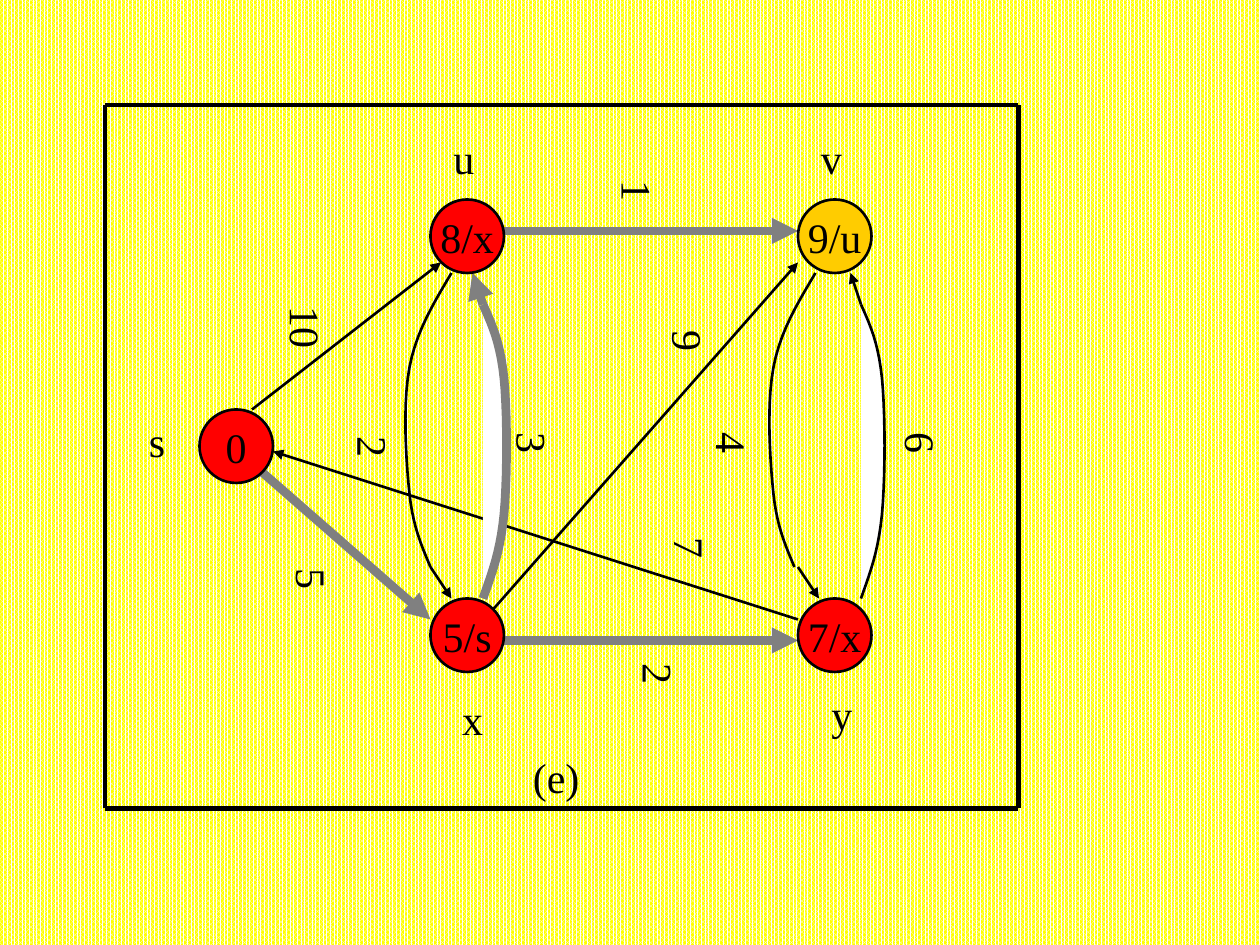
"""Build a slide showing one step of Dijkstra's algorithm on a weighted graph."""
from itertools import pairwise
from typing import NamedTuple

from lxml import etree
from pptx import Presentation
from pptx import util as u
from pptx.dml.color import RGBColor
from pptx.enum import dml, shapes, text
from pptx.oxml import ns

COLOURS = {
    "black": "000000", "grey": "808080", "white": "FFFFFF",
    "yellow": "FFFF00", "red": "FF0000", "orange": "FFCC00",
}
FONT = "Times New Roman"
NODE_SIZE = 42
THIN, THICK, FRAME = 1.5, 5, 2.5
CURVE_STEPS = 10

Point = tuple[float, float]


class Node(NamedTuple):
    caption: str
    left: float
    top: float
    fill: str = "red"


class Edge(NamedTuple):
    start: Point
    end: Point
    chosen: bool = False


class Curve(NamedTuple):
    points: list[Point]
    shift: float = 0
    chosen: bool = False
    filled: bool = False


class Label(NamedTuple):
    caption: str
    left: float
    top: float
    width: float = 28.8
    height: float = 28.8


NODES = [
    Node("0", 114, 234),
    Node("7/x", 456, 342),
    Node("9/u", 456, 114, "orange"),
    Node("5/s", 246, 342),
    Node("8/x", 246, 114),
]
EDGES = [
    Edge((246, 324), (258, 342)),
    Edge((276, 174), (270, 156), True),
    Edge((456, 324), (468, 342)),
    Edge((492, 174), (486, 156)),
    Edge((150, 270), (246, 354), True),
    Edge((456, 354), (156, 258)),
    Edge((144, 234), (252, 150)),
    Edge((288, 132), (456, 132), True),
    Edge((288, 366), (456, 366), True),
    Edge((282, 348), (456, 150)),
]
DOWNWARD = [
    (258, 156), (248, 173), (238, 189), (234, 210), (230, 231),
    (232, 263), (234, 282), (236, 301), (241, 312), (246, 324),
]
UPWARD = [
    (276, 342), (281, 328), (286, 315), (288, 294), (290, 273),
    (290, 236), (288, 216), (286, 196), (281, 185), (276, 174),
]
CURVES = [
    Curve(DOWNWARD),
    Curve(UPWARD, chosen=True, filled=True),
    Curve(DOWNWARD, shift=208),
    Curve(UPWARD, shift=216, filled=True),
]
WEIGHTS = [
    Label("10", 150, 168, width=43.2),
    Label("5", 168, 318),
    Label("2", 203, 242.6),
    Label("1", 354, 96),
    Label("3", 294, 240),
    Label("4", 408, 240),
    Label("2", 366, 372),
    Label("6", 516, 240),
    Label("9", 383, 182),
    Label("7", 384, 300),
]
NAMES = [
    Label("s", 78, 234, 24, 36),
    Label("u", 252, 72, 26.4, 36),
    Label("v", 462, 72, 26.4, 36),
    Label("x", 257, 393, 26.4, 36),
    Label("y", 468, 390, 26.4, 36),
    Label("(e)", 297.4, 426, 46.8, 36),
]
CORNERS = [(60, 60), (582, 60), (582, 462), (60, 462), (60, 60)]


def colour(name: str) -> RGBColor:
    return RGBColor.from_string(COLOURS[name])


def write_text(shape, caption: str, *, centred: bool = False, middle: bool = False,
               vertical: bool = False, grow: bool = True) -> None:
    frame = shape.text_frame
    frame.word_wrap = False
    frame.auto_size = text.MSO_AUTO_SIZE.SHAPE_TO_FIT_TEXT if grow else text.MSO_AUTO_SIZE.NONE
    frame.vertical_anchor = text.MSO_ANCHOR.MIDDLE if middle else text.MSO_ANCHOR.TOP
    if vertical:
        frame._txBody.bodyPr.set("vert", "eaVert")
    paragraph = frame.paragraphs[0]
    paragraph.alignment = text.PP_ALIGN.CENTER if centred else text.PP_ALIGN.LEFT
    run = paragraph.add_run()
    run.text = caption
    run.font.name = FONT
    run.font.size = u.Pt(24)
    run.font.color.rgb = colour("black")


def set_line(shape, name: str, width: float) -> None:
    shape.line.color.rgb = colour(name)
    shape.line.width = u.Pt(width)


def draw_line(slide, start: Point, end: Point, name: str, width: float,
              arrow: bool = False) -> None:
    connector = slide.shapes.add_connector(
        shapes.MSO_CONNECTOR.STRAIGHT, *(u.Pt(value) for value in (*start, *end)))
    set_line(connector, name, width)
    if arrow:
        etree.SubElement(connector.line._get_or_add_ln(), ns.qn("a:tailEnd"), type="triangle")
    etree.SubElement(connector._element.spPr, ns.qn("a:effectLst"))


def bezier(controls: list[Point], t: float) -> Point:
    weights = ((1 - t) ** 3, 3 * t * (1 - t) ** 2, 3 * t * t * (1 - t), t ** 3)
    x, y = (sum(w * value for w, value in zip(weights, axis)) for axis in zip(*controls))
    return x, y


def draw_curve(slide, curve: Curve) -> None:
    points = [(x + curve.shift, y) for x, y in curve.points]
    samples = [bezier(points[first:first + 4], step / CURVE_STEPS)
               for first in range(0, len(points) - 1, 3)
               for step in range(1, CURVE_STEPS + 1)]
    builder = slide.shapes.build_freeform(*(u.Pt(value) for value in points[0]))
    builder.add_line_segments([(u.Pt(x), u.Pt(y)) for x, y in samples], close=False)
    shape = builder.convert_to_shape()
    shape.shadow.inherit = False
    if curve.filled:
        shape.fill.solid()
        shape.fill.fore_color.rgb = colour("white")
    else:
        shape.fill.background()
    set_line(shape, "grey" if curve.chosen else "black", THICK if curve.chosen else THIN)


def draw_node(slide, node: Node) -> None:
    shape = slide.shapes.add_shape(
        shapes.MSO_SHAPE.OVAL, u.Pt(node.left), u.Pt(node.top), u.Pt(NODE_SIZE), u.Pt(NODE_SIZE))
    shape.shadow.inherit = False
    shape.fill.solid()
    shape.fill.fore_color.rgb = colour(node.fill)
    set_line(shape, "black", THIN)
    write_text(shape, node.caption, centred=True, middle=True, grow=False)


def draw_label(slide, label: Label, vertical: bool = False) -> None:
    box = slide.shapes.add_textbox(*(u.Pt(value) for value in label[1:]))
    write_text(box, label.caption, vertical=vertical)


def main() -> None:
    presentation = Presentation()
    presentation.slide_width, presentation.slide_height = u.Pt(720), u.Pt(540)
    slide = presentation.slides.add_slide(presentation.slide_layouts[6])
    fill = slide.background.fill
    fill.patterned()
    fill.pattern = dml.MSO_PATTERN.PERCENT_80
    fill.fore_color.rgb = colour("white")
    fill.back_color.rgb = colour("yellow")
    for edge in EDGES:
        draw_line(slide, edge.start, edge.end, "grey" if edge.chosen else "black",
                  THICK if edge.chosen else THIN, arrow=True)
    for curve in CURVES:
        draw_curve(slide, curve)
    for node in NODES:
        draw_node(slide, node)
    for weight in WEIGHTS:
        draw_label(slide, weight, vertical=True)
    for name in NAMES:
        draw_label(slide, name)
    for start, end in pairwise(CORNERS):
        draw_line(slide, start, end, "black", FRAME)
    presentation.save("out.pptx")


if __name__ == "__main__":
    main()
